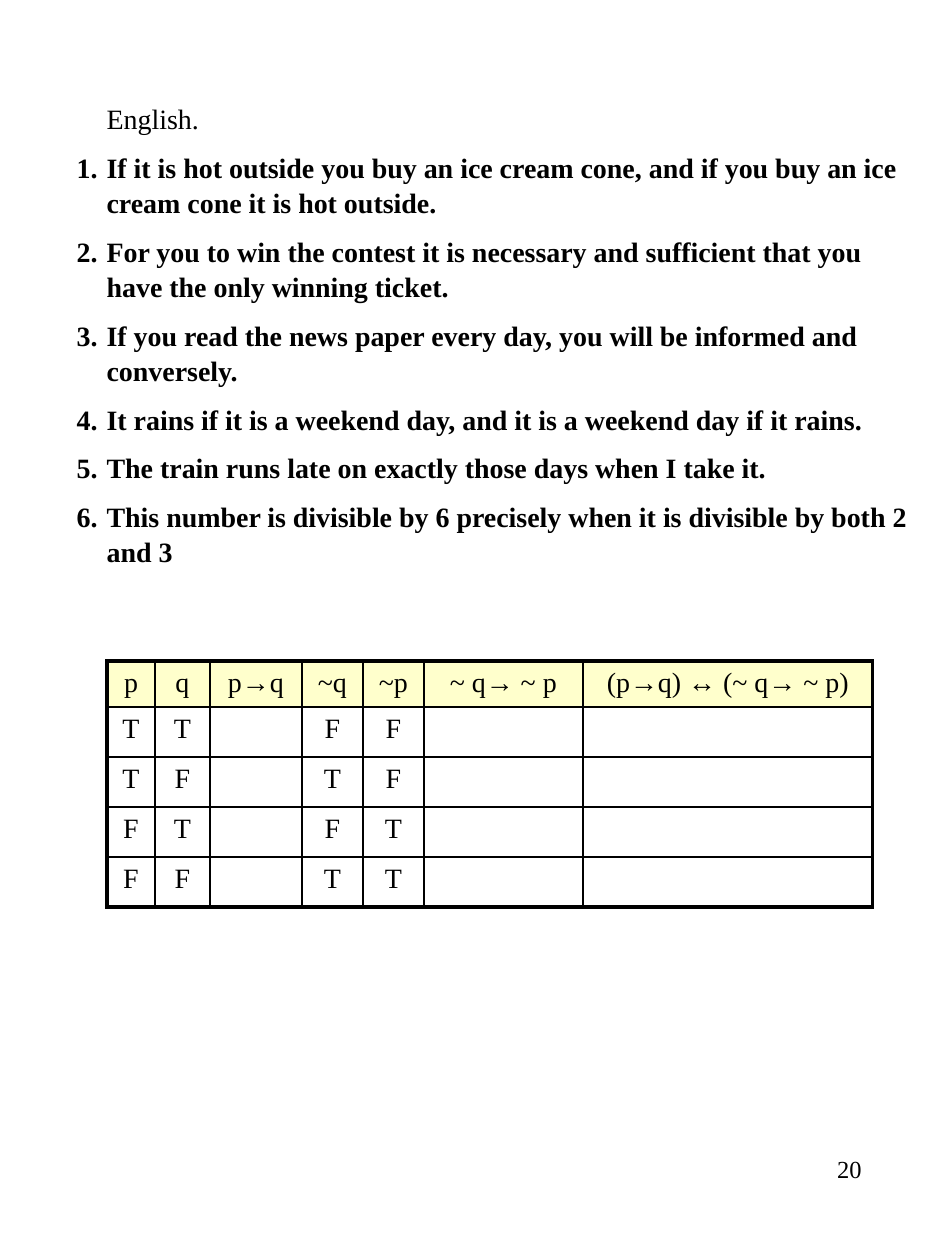
"""Build the biconditional exercise slide with its truth table."""
from lxml import etree
from pptx import Presentation
from pptx import util as u
from pptx.dml.color import RGBColor
from pptx.enum import text
from pptx.oxml import ns

PX = 914400 // 126
BLACK = RGBColor(0x00, 0x00, 0x00)
HEADER_FILL = RGBColor(0xFF, 0xFF, 0xCC)
FONT = "Times New Roman"
THIN, THICK = 1, 2.25


def write(paragraph, words, size=16, bold=False, align=None, before=0, line=None):
    paragraph.alignment = align
    paragraph.space_before = u.Pt(before)
    paragraph.line_spacing = line
    paragraph.font.size = u.Pt(size)
    if words:
        run = paragraph.add_run()
        run.text = words
        run.font.name = FONT
        run.font.size = u.Pt(size)
        run.font.bold = bold
        run.font.color.rgb = BLACK


def add_xml(parent, tag, **attributes):
    return etree.SubElement(parent, ns.qn(tag), attributes)


deck = Presentation()
deck.slide_width, deck.slide_height = u.Inches(7.5), u.Inches(10)
slide = deck.slides.add_slide(deck.slide_layouts[1])
title = slide.shapes.title.element
title.getparent().remove(title)

page_number = slide.shapes.add_textbox(678 * PX, 1148 * PX, 196 * PX, 84 * PX)
page_number.text_frame.word_wrap = True
write(page_number.text_frame.paragraphs[0], "20", size=14, align=text.PP_ALIGN.RIGHT)

exercises = slide.placeholders[1]
exercises.left, exercises.top = 31 * PX, 94 * PX
exercises.width, exercises.height = 892 * PX, 538 * PX
frame = exercises.text_frame
frame.word_wrap = True
frame.auto_size = text.MSO_AUTO_SIZE.NONE
frame.vertical_anchor = text.MSO_ANCHOR.TOP
sentences = [
    "English.",
    "If it is hot outside you buy an ice cream cone, and if you buy an ice cream cone it is hot outside.",
    "For you to win the contest it is necessary and sufficient that you have the only winning ticket.",
    "If you read the news paper every day, you will be informed and conversely.",
    "It rains if it is a weekend day, and it is a weekend day if it rains.",
    "The train runs late on exactly those days when I take it.",
    "This number is divisible by 6 precisely when it is divisible by both 2 and 3",
]
for number, sentence in enumerate(sentences):
    paragraph = frame.paragraphs[0] if number == 0 else frame.add_paragraph()
    write(paragraph, sentence, bold=number > 0, before=8, line=1.04)
    properties = paragraph._p.get_or_add_pPr()
    properties.set("marL", str(63 * PX))
    properties.set("indent", str(-30 * PX if number else 0))
    bullets = [child for child in properties if child.tag == ns.qn("a:defRPr")]
    for default in bullets:
        properties.remove(default)
    if number:
        add_xml(properties, "a:buFont", typeface=FONT)
        add_xml(properties, "a:buAutoNum", type="arabicPeriod", startAt=str(number))
    else:
        add_xml(properties, "a:buNone")
    properties.extend(bullets)

truth_rows = [
    ["p", "q", "p→q", "~q", "~p", "~ q→ ~ p", "(p→q) ↔ (~ q→ ~ p)"],
    ["T", "T", "", "F", "F", "", ""],
    ["T", "F", "", "T", "F", "", ""],
    ["F", "T", "", "F", "T", "", ""],
    ["F", "F", "", "T", "T", "", ""],
]
column_widths = [48, 55, 92, 61, 61, 159, 290]
row_heights = [46] + [50] * 4
last_row, last_column = len(truth_rows) - 1, len(column_widths) - 1
truth_table = slide.shapes.add_table(
    len(truth_rows), len(column_widths), 107 * PX, 661 * PX,
    sum(column_widths) * PX, sum(row_heights) * PX).table
truth_table.first_row = truth_table.horz_banding = False
for column, width in zip(truth_table.columns, column_widths):
    column.width = width * PX
for row, height in zip(truth_table.rows, row_heights):
    row.height = height * PX

for r, values in enumerate(truth_rows):
    for c, value in enumerate(values):
        cell = truth_table.cell(r, c)
        write(cell.text_frame.paragraphs[0], value, align=text.PP_ALIGN.CENTER, before=3)
        cell_properties = cell._tc.get_or_add_tcPr()
        outer_edges = {"L": c == 0, "R": c == last_column, "T": r == 0, "B": r == last_row}
        for side, outer in outer_edges.items():
            weight = u.Pt(THICK if outer else THIN)
            border = add_xml(cell_properties, f"a:ln{side}", w=str(weight))
            add_xml(add_xml(border, "a:solidFill"), "a:srgbClr", val=str(BLACK))
        if r == 0:
            cell.fill.solid()
            cell.fill.fore_color.rgb = HEADER_FILL
        else:
            cell.fill.background()

deck.save("out.pptx")
